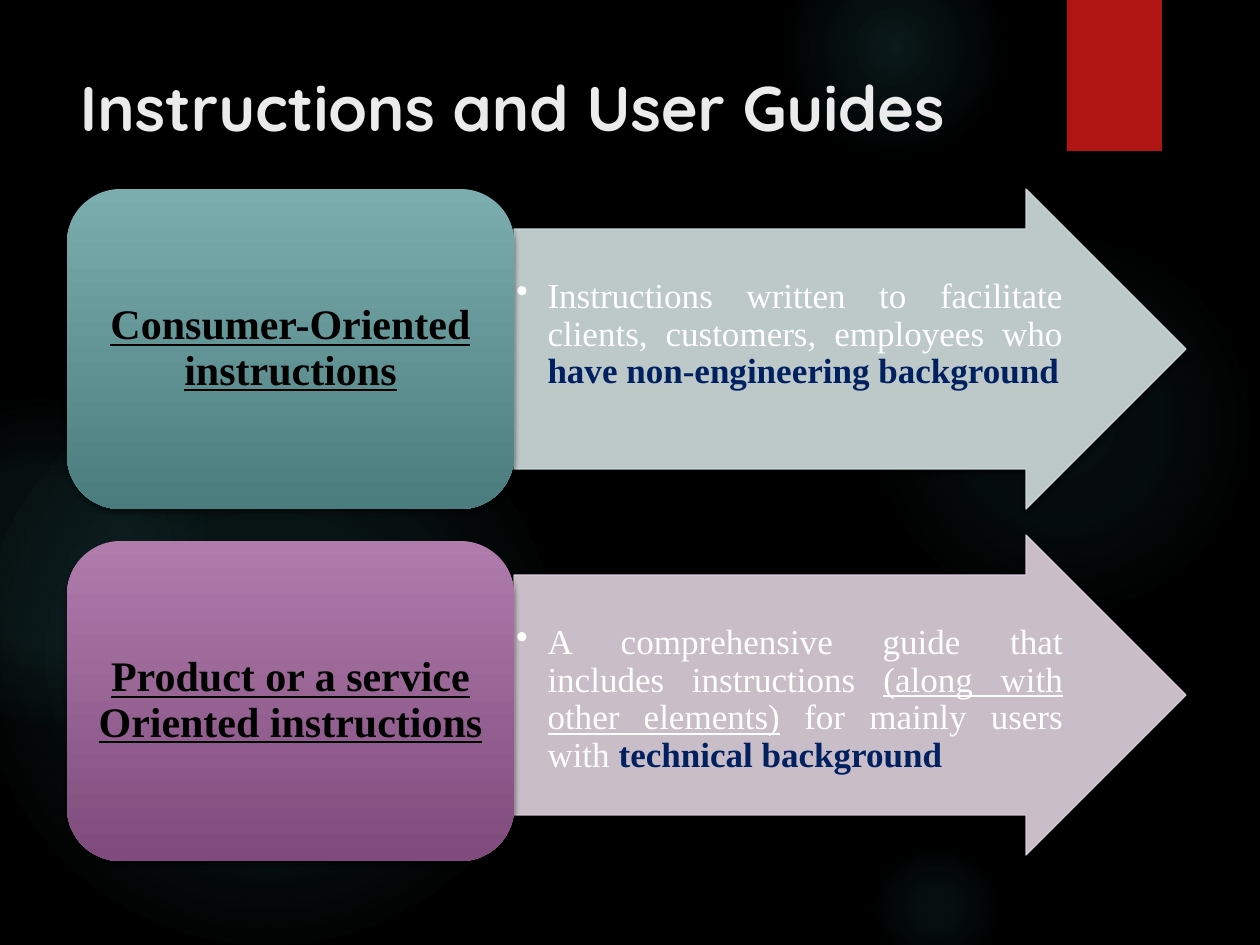
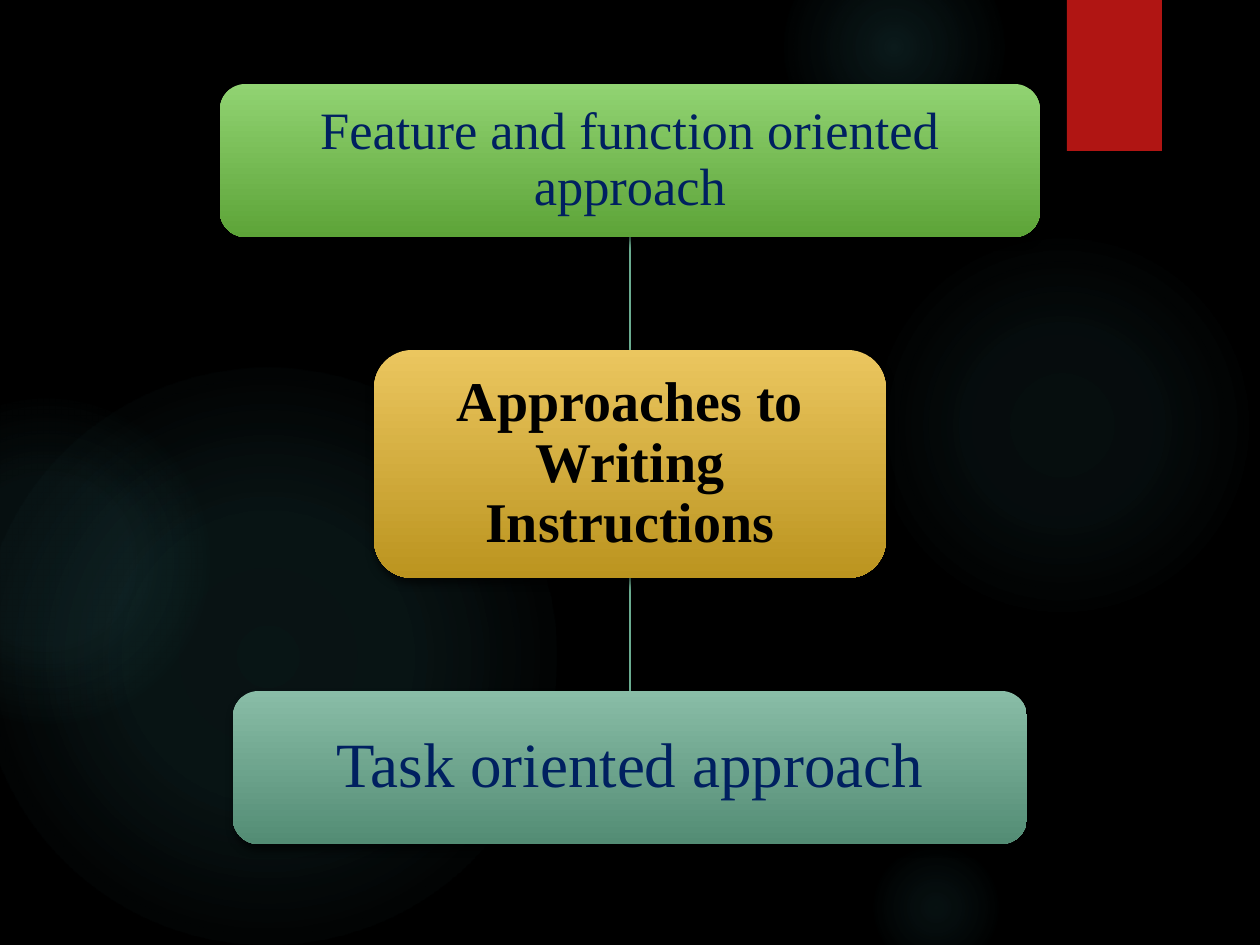
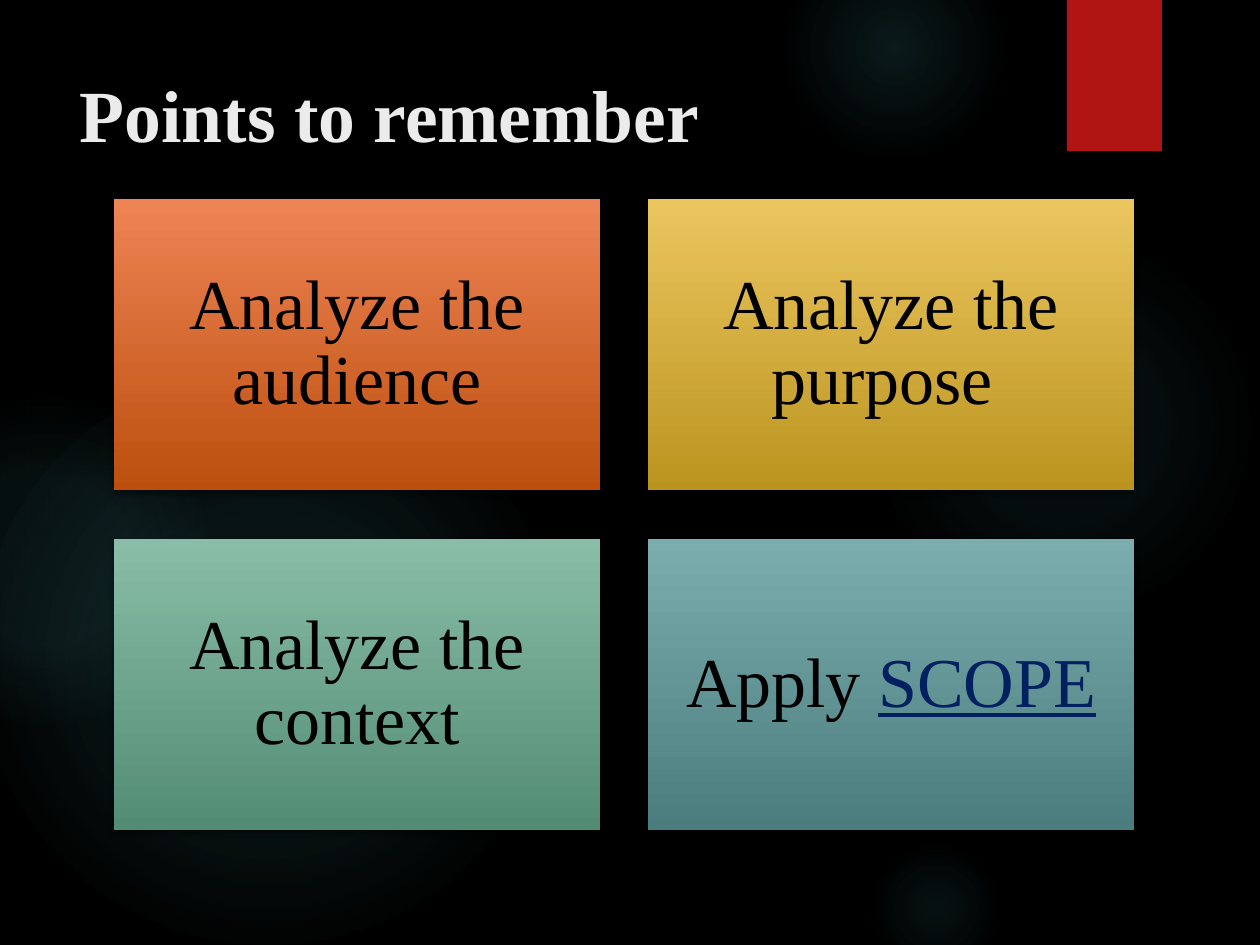
"""Build three dark slides on writing instructions and user guides."""
import pptx
import pptx.dml.color
import pptx.enum.shapes
import pptx.enum.text
import pptx.oxml
import pptx.oxml.ns
import pptx.util

RGB = pptx.dml.color.RGBColor
KIND = pptx.enum.shapes.MSO_SHAPE
ALIGN = pptx.enum.text.PP_ALIGN
ANCHOR = pptx.enum.text.MSO_ANCHOR

BLACK = RGB(0x00, 0x00, 0x00)
WHITE = RGB(0xFF, 0xFF, 0xFF)
PALE = RGB(0xEB, 0xEB, 0xEB)
NAVY = RGB(0x00, 0x20, 0x60)
RED = RGB(0xB0, 0x15, 0x13)
GLOW = RGB(0x50, 0xB9, 0xC1)
LINK = RGB(0x6A, 0xAC, 0x90)
MIST = RGB(0xD2, 0xDE, 0xDF)
LILAC = RGB(0xDF, 0xD2, 0xDE)
TEAL = RGB(0x7C, 0xAD, 0xAE), RGB(0x4C, 0x7D, 0x7E)
PLUM = RGB(0xAF, 0x7C, 0xAC), RGB(0x7F, 0x4B, 0x7C)
GOLD = RGB(0xEB, 0xC6, 0x5F), RGB(0xBB, 0x94, 0x1F)
GREEN = RGB(0x91, 0xD3, 0x72), RGB(0x5D, 0xA4, 0x38)
SAGE = RGB(0x89, 0xBD, 0xA7), RGB(0x53, 0x8C, 0x74)
RUST = RGB(0xEE, 0x84, 0x55), RGB(0xBC, 0x4F, 0x0E)

SERIF = "Times New Roman"
SOFT = (45, 3, 2)
DEEP = (60, 5, 3)
ORBS = [
    (868, 231, 388, [(0, 7), (36, 6), (69, 0)]),
    (784, -63, 220, [(0, 14), (36, 7), (73, 0)]),
    (868, 840, 136, [(0, 9), (36, 5), (66, 0)]),
    (-21, 368, 577, [(0, 11), (36, 10), (75, 0)]),
    (-116, 399, 325, [(0, 8), (36, 8), (72, 0)]),
]


def emu(px):
    return pptx.util.Emu(round(px * 914400 / 126))


def node(xml):
    head, tail = xml.split(" ", 1)
    return pptx.oxml.parse_xml(f"{head} {pptx.oxml.ns.nsdecls('a')} {tail}")


def blend(shape, stops, way):
    shape.fill.background()
    marks = "".join(
        f'<a:gs pos="{pos * 1000}"><a:srgbClr val="{color}">'
        f'<a:alpha val="{alpha * 1000}"/></a:srgbClr></a:gs>'
        for pos, color, alpha in stops)
    props = shape.element.spPr
    props.replace(props.find(pptx.oxml.ns.qn("a:noFill")),
                  node(f'<a:gradFill rotWithShape="1"><a:gsLst>{marks}</a:gsLst>{way}</a:gradFill>'))


def fade(fill, color, alpha):
    fill.solid()
    fill.fore_color.rgb = color
    tint = fill._xPr.find(".//" + pptx.oxml.ns.qn("a:srgbClr"))
    tint.append(node(f'<a:alpha val="{alpha * 1000}"/>'))


def shade(shape, alpha, blur, dist):
    shape.shadow.inherit = False
    effects = shape.element.spPr.find(pptx.oxml.ns.qn("a:effectLst"))
    effects.append(node(
        f'<a:outerShdw blurRad="{blur * 12700}" dist="{dist * 12700}" dir="5400000" '
        f'algn="ctr" rotWithShape="0"><a:srgbClr val="{BLACK}">'
        f'<a:alpha val="{alpha * 1000}"/></a:srgbClr></a:outerShdw>'))


def write(shape, runs, size, color=BLACK, font=SERIF, bold=False, under=False,
          align=ALIGN.CENTER, anchor=ANCHOR.MIDDLE, pads=(13, 6, 13, 6),
          space=0.9, bullet=None):
    frame = shape.text_frame
    frame.word_wrap = True
    frame.vertical_anchor = anchor
    (frame.margin_left, frame.margin_top,
     frame.margin_right, frame.margin_bottom) = map(emu, pads)
    para = frame.paragraphs[0]
    para.alignment = align
    para.line_spacing = space
    if bullet:
        props = para._p.get_or_add_pPr()
        props.set("marL", "228600")
        props.set("indent", "-228600")
        props.append(node(f'<a:buChar char="{bullet}"/>'))
    for words, style in [(runs, {})] if isinstance(runs, str) else runs:
        run = para.add_run()
        run.text = words
        run.font.name = font
        run.font.size = pptx.util.Pt(size)
        run.font.bold = style.get("bold", bold)
        run.font.underline = style.get("under", under)
        run.font.color.rgb = style.get("color", color)


class Deck:
    def __init__(self):
        self.file = pptx.Presentation()
        self.file.slide_width = emu(1260)
        self.file.slide_height = emu(945)
        self.slide = None

    def page(self):
        self.slide = self.file.slides.add_slide(self.file.slide_layouts[6])
        ground = self.slide.background.fill
        ground.solid()
        ground.fore_color.rgb = BLACK
        for x, y, side, stops in ORBS:
            orb = self.form(KIND.OVAL, x, y, side, side)
            blend(orb, [(pos, GLOW, alpha) for pos, alpha in stops],
                  '<a:path path="circle"><a:fillToRect l="50000" t="50000" '
                  'r="50000" b="50000"/></a:path>')
        flag = self.form(KIND.RECTANGLE, 1067, 0, 95, 151, SOFT)
        flag.fill.solid()
        flag.fill.fore_color.rgb = RED

    def form(self, kind, x, y, w, h, shadow=None):
        shape = self.slide.shapes.add_shape(kind, *map(emu, (x, y, w, h)))
        shape.shadow.inherit = False
        shape.line.fill.background()
        if shadow:
            shade(shape, *shadow)
        return shape

    def title(self, words, size, font=SERIF):
        box = self.slide.shapes.add_textbox(*map(emu, (67, 63, 973, 100)))
        write(box, words, size, PALE, font, bold=True, align=ALIGN.LEFT,
              anchor=ANCHOR.TOP, space=1.0)

    def card(self, kind, x, y, w, h, hues, runs, size, shadow=SOFT, **style):
        shape = self.form(kind, x, y, w, h, shadow)
        blend(shape, [(0, hues[0], 100), (100, hues[1], 100)],
              '<a:lin ang="5400000" scaled="0"/>')
        write(shape, runs, size, **style)

    def arrow(self, x, y, w, h, color, runs):
        shape = self.form(KIND.RIGHT_ARROW, x, y, w, h, SOFT)
        shape.adjustments[0] = 0.75
        shape.adjustments[1] = 0.5
        fade(shape.fill, color, 90)
        shape.line.width = pptx.util.Pt(0.75)
        fade(shape.line.fill, color, 90)
        write(shape, runs, 20, WHITE, align=ALIGN.JUSTIFY, anchor=ANCHOR.TOP,
              pads=(2, 49, 3, 1), bullet="•")

    def link(self, x, top, end):
        line = self.slide.shapes.add_connector(
            pptx.enum.shapes.MSO_CONNECTOR.STRAIGHT, *map(emu, (x, top, x, end)))
        line.line.color.rgb = LINK
        line.line.width = pptx.util.Pt(1.5)
        line.element.spPr.append(node("<a:effectLst />"))


def guides(deck):
    deck.page()
    deck.title("Instructions and User Guides", 36, "Quicksand")
    strong = {"bold": True, "color": NAVY}
    rows = [
        (189, 189, MIST, TEAL, "Consumer-Oriented instructions", [
            ("Instructions written to facilitate clients, customers, employees who ", {}),
            ("have non-engineering background", strong)]),
        (535, 541, LILAC, PLUM, "Product or a service Oriented instructions", [
            ("A comprehensive guide that includes instructions ", {}),
            ("(along with other elements)", {"under": True}),
            (" for mainly users with ", {}),
            ("technical background", strong)]),
    ]
    for tip, top, pale, hues, name, runs in rows:
        deck.arrow(514, tip, 672, 320, pale, runs)
        deck.card(KIND.ROUNDED_RECTANGLE, 67, top, 447, 320, hues, name, 24,
                  bold=True, under=True)


def ways(deck):
    deck.page()
    mid = 630
    deck.link(mid, 237, 350)
    deck.link(mid, 578, 691)
    cards = [
        (84, 820, 153, GREEN, "Feature and function oriented approach", 30, NAVY, 10),
        (350, 512, 228, GOLD, "Approaches to Writing Instructions", 32, BLACK, 11),
        (691, 794, 153, SAGE, "Task oriented approach", 36, NAVY, 13),
    ]
    for y, w, h, hues, words, size, color, pad in cards:
        deck.card(KIND.ROUNDED_RECTANGLE, mid - w // 2, y, w, h, hues, words, size,
                  DEEP, color=color, bold=color == BLACK, pads=[pad] * 4)


def points(deck):
    deck.page()
    deck.title("Points to remember", 42)
    cards = [
        (RUST, "Analyze the audience"),
        (GOLD, "Analyze the purpose "),
        (SAGE, "Analyze the context"),
        (TEAL, [("Apply ", {}), ("SCOPE", {"color": NAVY, "under": True})]),
    ]
    for spot, (hues, runs) in enumerate(cards):
        row, col = divmod(spot, 2)
        deck.card(KIND.RECTANGLE, 114 + 534 * col, 199 + 340 * row, 486, 291,
                  hues, runs, 40, pads=[21] * 4)


def main():
    deck = Deck()
    guides(deck)
    ways(deck)
    points(deck)
    deck.file.save("out.pptx")


if __name__ == "__main__":
    main()
